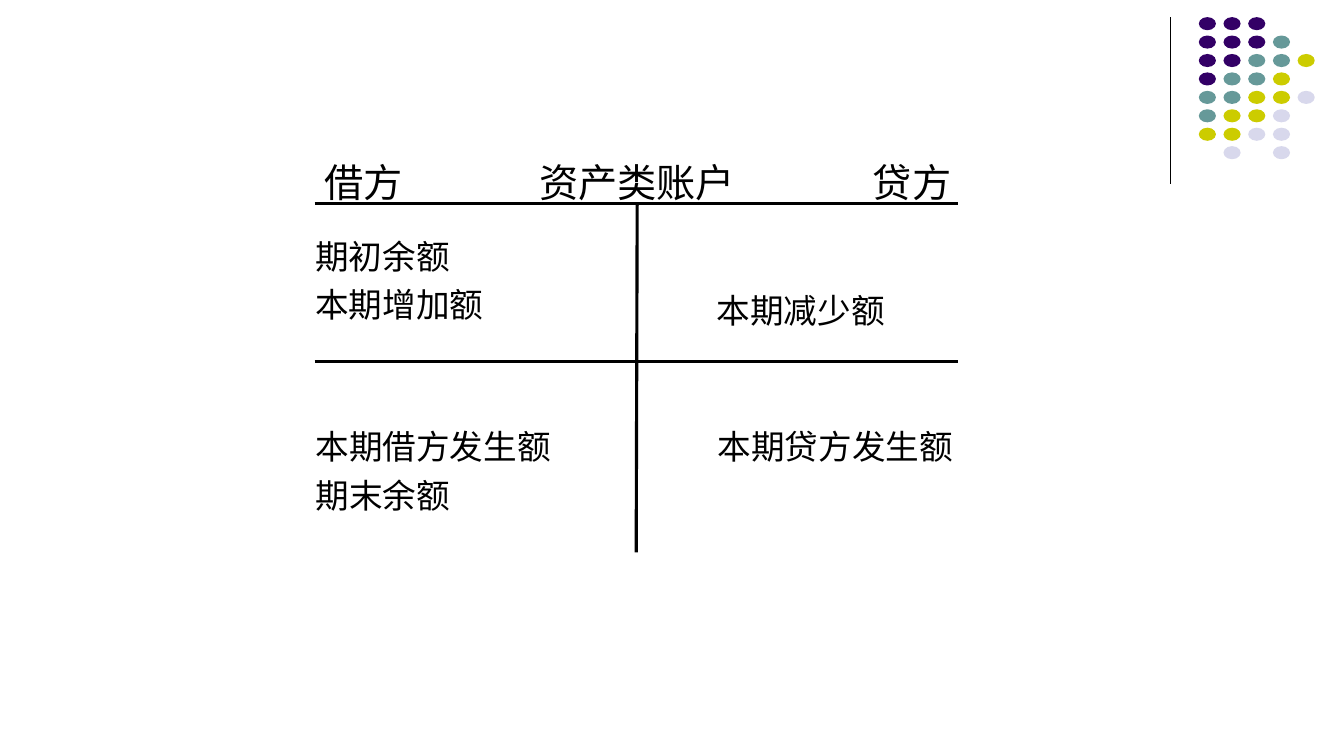
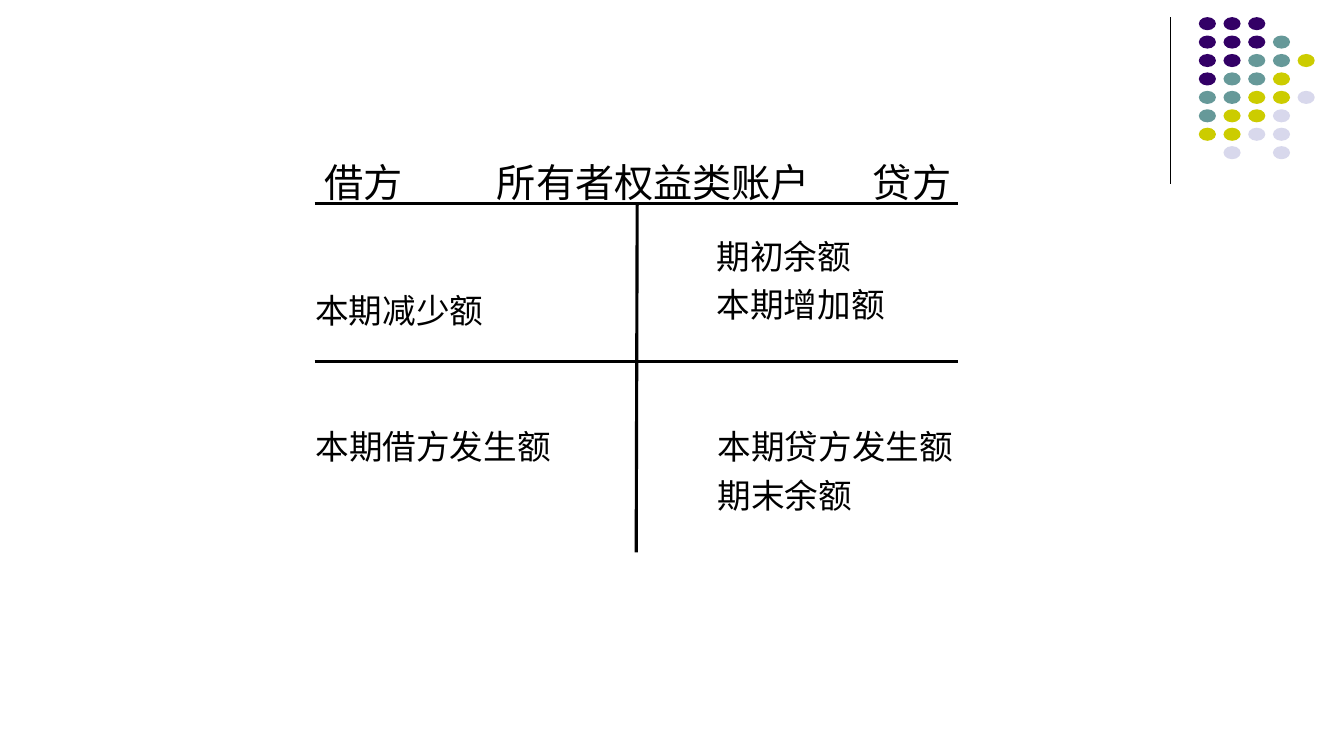
from dataclasses import dataclass

from lxml import etree
from pptx import Presentation
from pptx.dml.color import RGBColor
from pptx.enum.shapes import MSO_CONNECTOR, MSO_SHAPE
from pptx.enum.text import PP_ALIGN
from pptx.oxml.ns import qn
from pptx.slide import Slide
from pptx.util import Inches, Pt

LINE = MSO_CONNECTOR.STRAIGHT
OVAL = MSO_SHAPE.OVAL
LEFT = PP_ALIGN.LEFT


@dataclass(frozen=True)
class Theme:
    font: str = "Noto Sans CJK SC"
    ink: str = "000000"
    purple: str = "330066"
    teal: str = "669999"
    yellow: str = "CCCC00"
    lilac: str = "D8D8EC"
    head: int = 28
    body: int = 24
    thin: float = 0.75
    thick: float = 2.25
    lead: float = 1.1
    gap: int = 3


@dataclass(frozen=True)
class Rule:
    x1: float
    y1: float
    x2: float
    y2: float
    weight: float


@dataclass(frozen=True)
class Label:
    left: float
    top: float
    width: float
    height: float
    size: int
    lines: tuple[str, ...]


@dataclass(frozen=True)
class Account:
    title: Label
    debit: tuple[str, ...]
    credit: tuple[str, ...]
    debit_sum: tuple[str, ...]
    credit_sum: tuple[str, ...]


THEME = Theme()
DOTS = {"P": THEME.purple, "T": THEME.teal, "Y": THEME.yellow, "L": THEME.lilac}
GRID = ("PPP", "PPPT", "PPTTY", "PTTY", "TTYYL", "TYYL", "YYLL", " L L")
DOT_X, DOT_Y = 11.89, 0.17
STEP_X, STEP_Y = 0.98 / 4, 1.28 / 7
DOT_W, DOT_H = 0.17, 0.13

HEAD_Y, HEAD_H = 1.47, 0.79
ITEM_Y, SUM_Y, CELL_H = 2.25, 4.14, 1.1
DROP = 0.54  # offset of an entry that stands alone on the second line

RULES = (
    Rule(11.61, 0.17, 11.61, 1.83, THEME.thin),
    Rule(3.12, 2.02, 9.5, 2.02, THEME.thick),
    Rule(3.12, 3.59, 9.5, 3.59, THEME.thick),
    Rule(6.32, 2.02, 6.31, 5.48, THEME.thick),
)


def heading(left: float, width: float, text: str) -> Label:
    return Label(left, HEAD_Y, width, HEAD_H, THEME.head, (text,))


SIDES = (heading(3.12, 1.02, "借方"), heading(8.56, 1.02, "贷方"))
OPEN = ("期初余额", "本期增加额")
LESS = ("本期减少额",)
DEBIT, CREDIT, CLOSE = "本期借方发生额", "本期贷方发生额", "期末余额"

ACCOUNTS = (
    Account(heading(5.25, 3.07, "资产类账户"),
            OPEN, LESS, (DEBIT, CLOSE), (CREDIT,)),
    Account(heading(4.83, 3.49, "所有者权益类账户"),
            LESS, OPEN, (DEBIT,), (CREDIT, CLOSE)),
)


def add_dots(slide: Slide) -> None:
    group = slide.shapes.add_group_shape()
    for row, codes in enumerate(GRID):
        for col, code in enumerate(codes):
            if code not in DOTS:
                continue
            dot = group.shapes.add_shape(
                OVAL, Inches(DOT_X + col * STEP_X), Inches(DOT_Y + row * STEP_Y),
                Inches(DOT_W), Inches(DOT_H))
            dot.shadow.inherit = False
            dot.fill.solid()
            dot.fill.fore_color.rgb = RGBColor.from_string(DOTS[code])
            dot.line.fill.background()


def add_rule(slide: Slide, rule: Rule) -> None:
    line = slide.shapes.add_connector(
        LINE, Inches(rule.x1), Inches(rule.y1), Inches(rule.x2), Inches(rule.y2))
    line.line.color.rgb = RGBColor.from_string(THEME.ink)
    line.line.width = Pt(rule.weight)
    etree.SubElement(line._element.spPr, qn("a:effectLst"))


def add_label(slide: Slide, label: Label) -> None:
    box = slide.shapes.add_textbox(
        Inches(label.left), Inches(label.top),
        Inches(label.width), Inches(label.height))
    frame = box.text_frame
    frame.word_wrap = True
    frame.text = "\n".join(label.lines)
    for index, para in enumerate(frame.paragraphs):
        para.alignment = LEFT
        para.line_spacing = THEME.lead
        para.space_before = Pt(THEME.gap if index else 0)
        font = para.font
        font.size = Pt(label.size)
        font.color.rgb = RGBColor.from_string(THEME.ink)
        font.name = THEME.font
        props = para._p.pPr.find(qn("a:defRPr"))
        etree.SubElement(props, qn("a:ea"), typeface=THEME.font)


def add_account(slide: Slide, account: Account) -> None:
    for label in (account.title, *SIDES):
        add_label(slide, label)
    for left, lines in ((3.03, account.debit), (7.01, account.credit)):
        drop = DROP if len(lines) == 1 else 0
        add_label(slide, Label(left, ITEM_Y + drop, 1.97, CELL_H - drop,
                               THEME.body, lines))
    for left, lines in ((3.03, account.debit_sum), (7.02, account.credit_sum)):
        add_label(slide, Label(left, SUM_Y, 2.69, CELL_H, THEME.body, lines))


def main() -> None:
    deck = Presentation()
    deck.slide_width, deck.slide_height = Inches(13.33), Inches(7.5)
    blank = deck.slide_layouts[6]
    for account in ACCOUNTS:
        slide = deck.slides.add_slide(blank)
        add_dots(slide)
        for rule in RULES:
            add_rule(slide, rule)
        add_account(slide, account)
    deck.save("out.pptx")


if __name__ == "__main__":
    main()
